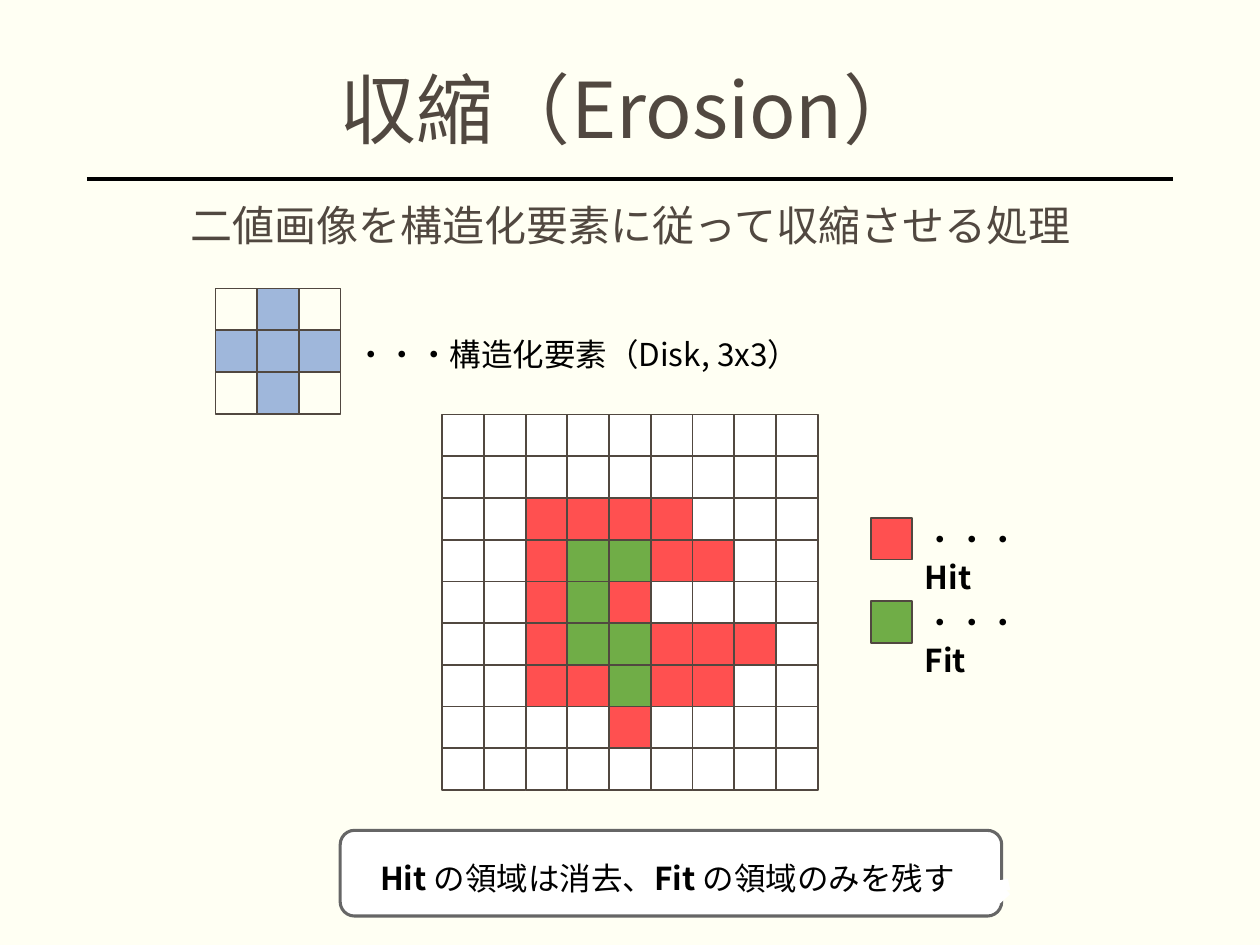
from typing import NamedTuple, Optional

from lxml.etree import SubElement
from pptx import Presentation
from pptx.dml.color import RGBColor
from pptx.enum.shapes import MSO_CONNECTOR as Connector, MSO_SHAPE as Preset
from pptx.enum.text import MSO_ANCHOR as Anchor, PP_ALIGN as Align
from pptx.oxml.ns import qn
from pptx.util import Inches, Pt

WIDTH, HEIGHT = 10, 7.5
MARGIN = 0.069 * WIDTH
CONTENT = WIDTH - 2 * MARGIN
CELL = 2.98 / 9
FONT = "Noto Sans CJK JP"
BROWN, BLACK, WHITE, GREY = "514840", "000000", "FFFFFF", "666666"
RED, GREEN, BLUE = "FF5050", "70AD47", "4472C4"


class Box(NamedTuple):
    left: float
    top: float
    width: float
    height: float


class Paint(NamedTuple):
    color: str
    opacity: int = 100


class Grid(NamedTuple):
    left: float
    top: float
    rows: list[str]


class Legend(NamedTuple):
    label: str
    top: float
    color: str


class Mask(NamedTuple):
    box: Box
    rotation: float


# H = hit, F = fit, S = structuring element, - = white, space = empty
PAINTS = {"H": Paint(RED), "F": Paint(GREEN), "S": Paint(BLUE, 51),
          "-": Paint(WHITE), " ": None}
IMAGE = Grid(3.51, 3.29, [
    "---------",
    "---------",
    "--HHHH---",
    "--HFFHH--",
    "--HFH----",
    "--HFFHHH-",
    "--HHFHH--",
    "----H----",
    "---------",
])
ELEMENT = Grid(1.71, 2.29, [" S ", "SSS", " S "])
LEGENDS = [Legend("Hit", 4.11, RED), Legend("Fit", 4.77, GREEN)]
CALLOUT = Box(2.7, 6.59, 5.25, 0.68)
TAIL = [(7.94, 6.96), (8.26, 6.89), (7.94, 7.18)]
MASKS = [Mask(Box(7.88, 6.95, 0.09, 0.17), 78),
         Mask(Box(7.91, 7.05, 0.08, 0.11), 47.5)]


def rgb(color: str) -> RGBColor:
    return RGBColor.from_string(color)


def style(shape, paint: Optional[Paint], line: Optional[str], weight: float = 1) -> None:
    shape.shadow.inherit = False
    if paint:
        shape.fill.solid()
        shape.fill.fore_color.rgb = rgb(paint.color)
        if paint.opacity < 100:
            color = shape.fill._xPr.find(".//" + qn("a:srgbClr"))
            SubElement(color, qn("a:alpha"), val=str(paint.opacity * 1000))
    else:
        shape.fill.background()
    if line:
        shape.line.color.rgb = rgb(line)
        shape.line.width = Pt(weight)
    else:
        shape.line.fill.background()


def add_preset(shapes, preset, box: Box, paint: Optional[Paint],
               line: Optional[str], weight: float = 1):
    shape = shapes.add_shape(preset, *map(Inches, box))
    style(shape, paint, line, weight)
    return shape


def add_grid(shapes, grid: Grid) -> None:
    group = shapes.add_group_shape()
    for row, codes in enumerate(grid.rows):
        for column, code in enumerate(codes):
            box = Box(grid.left + column * CELL, grid.top + row * CELL, CELL, CELL)
            add_preset(group.shapes, Preset.RECTANGLE, box, PAINTS[code], BROWN)


def write(frame, pieces: list[tuple[str, bool]], size: float = 18,
          color: str = BLACK, align=Align.LEFT, spacing: float = 1) -> None:
    """Fill a text frame with one paragraph of (text, bold) pieces."""
    paragraph = frame.paragraphs[0]
    paragraph.alignment = align
    paragraph.line_spacing = spacing
    font = paragraph.font
    font.size, font.name = Pt(size), FONT
    font.color.rgb = rgb(color)
    defaults = paragraph._p.pPr.find(qn("a:defRPr"))
    SubElement(defaults, qn("a:ea"), typeface=FONT)
    for text, bold in pieces:
        run = paragraph.add_run()
        run.text = text
        run.font.bold = bold


def add_text(shapes, box: Box, pieces: list[tuple[str, bool]], wrap: bool = True,
             anchor=Anchor.TOP, **text_style):
    frame = shapes.add_textbox(*map(Inches, box)).text_frame
    frame.word_wrap = wrap
    frame.vertical_anchor = anchor
    write(frame, pieces, **text_style)
    return frame


def add_rule(shapes, top: float) -> None:
    rule = shapes.add_connector(Connector.STRAIGHT, Inches(MARGIN), Inches(top),
                                Inches(WIDTH - MARGIN), Inches(top))
    rule.line.color.rgb = rgb(BLACK)
    rule.line.width = Pt(2)
    SubElement(rule._element.spPr, qn("a:effectLst"))


def add_legend(shapes, legend: Legend) -> None:
    add_preset(shapes, Preset.RECTANGLE, Box(6.91, legend.top, CELL, CELL),
               Paint(legend.color), BROWN)
    frame = add_text(shapes, Box(7.24, legend.top - 0.03, 1.43, 0.4),
                     [("・・・ ", False), (legend.label, True)])
    frame.margin_right = Inches(0.4)  # keeps the label on its own line


def add_callout(shapes) -> None:
    builder = shapes.build_freeform(*TAIL[0], scale=Inches(1))
    builder.add_line_segments(TAIL[1:], close=True)
    style(builder.convert_to_shape(), Paint(WHITE), GREY, 1.75)
    balloon = add_preset(shapes, Preset.ROUNDED_RECTANGLE, CALLOUT,
                         Paint(WHITE), GREY, 1.75)
    frame = balloon.text_frame
    frame.word_wrap = False
    frame.vertical_anchor = Anchor.MIDDLE
    frame.margin_top = Inches(0.12)
    write(frame, [("Hit", True), (" の領域は消去、", False), ("Fit ", True),
                  ("の領域のみを残す ", False)], align=Align.CENTER)
    joint = shapes.add_group_shape()
    for mask in MASKS:
        cover = add_preset(joint.shapes, Preset.RECTANGLE, mask.box, Paint(WHITE), None)
        cover.rotation = mask.rotation


def main() -> None:
    presentation = Presentation()
    presentation.slide_width, presentation.slide_height = Inches(WIDTH), Inches(HEIGHT)
    slide = presentation.slides.add_slide(presentation.slide_layouts[6])
    slide.background.fill.solid()
    slide.background.fill.fore_color.rgb = rgb("FFFFF3")
    shapes = slide.shapes

    add_rule(shapes, 1.42)
    heading = dict(color=BROWN, align=Align.CENTER, spacing=0.9)
    add_text(shapes, Box(MARGIN, 0.47, CONTENT, 0.86), [("収縮（Erosion）", False)],
             anchor=Anchor.MIDDLE, size=44, **heading)
    add_text(shapes, Box(MARGIN, 1.58, CONTENT, 5.57),
             [("二値画像を構造化要素に従って収縮させる処理", False)], size=24, **heading)
    add_grid(shapes, IMAGE)
    add_grid(shapes, ELEMENT)
    add_text(shapes, Box(2.72, 2.61, 3.87, 0.4),
             [("・・・構造化要素（Disk, 3x3）", False)], wrap=False)
    for legend in LEGENDS:
        add_legend(shapes, legend)
    add_callout(shapes)
    presentation.save("out.pptx")


if __name__ == "__main__":
    main()
